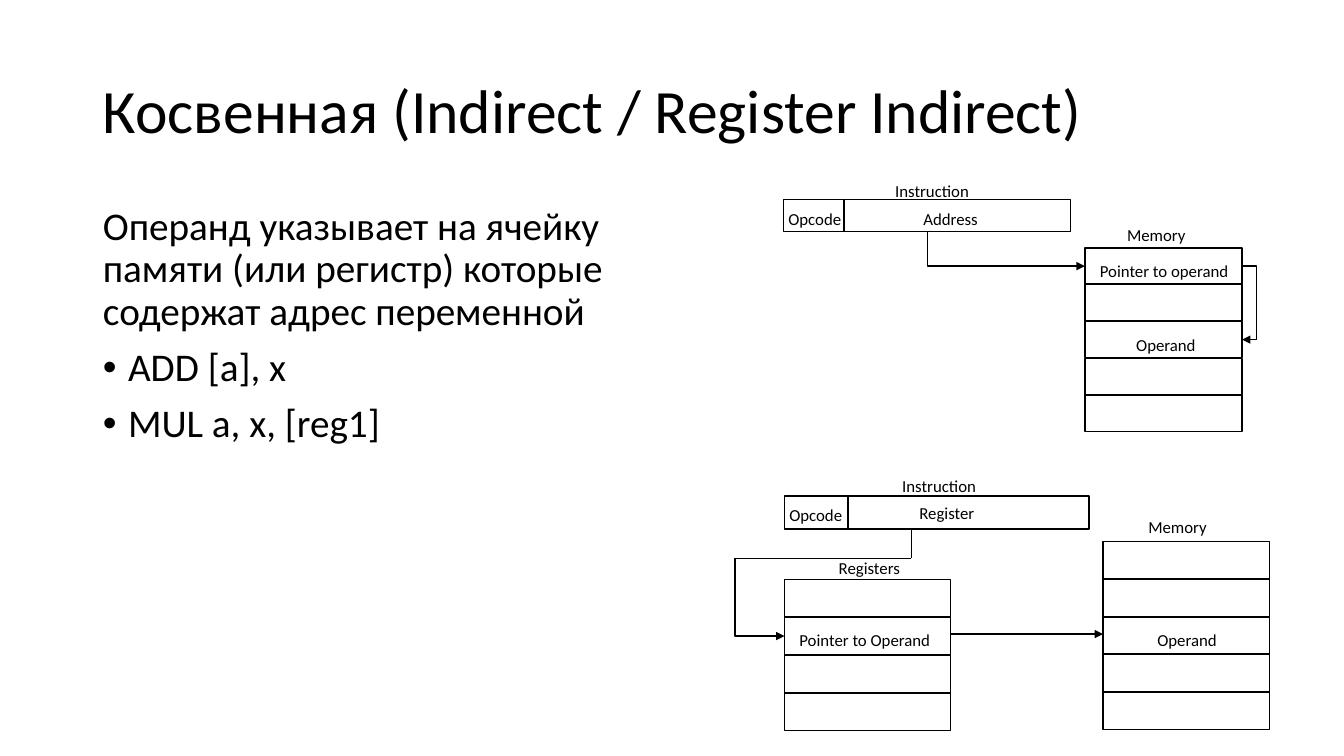
"""Builds a slide that explains indirect and register indirect addressing."""
import lxml.etree
import pptx
import pptx.dml.color
import pptx.enum.shapes
import pptx.enum.text
import pptx.oxml.ns
import pptx.util

Inches = pptx.util.Inches
RGBColor = pptx.dml.color.RGBColor

BLACK = RGBColor(0x00, 0x00, 0x00)
FONT = "Calibri"
BODY = [
    ("Операнд указывает на ячейку памяти (или регистр) которые содержат адрес переменной", False),
    ("ADD [a], x", True),
    ("MUL a, x, [reg1]", True),
]


def add_element(parent, tag, **attributes):
    """Append a drawing element to the parent."""
    return lxml.etree.SubElement(parent, pptx.oxml.ns.qn(tag), attributes)


def format_runs(para, size):
    """Set the font of every run in a paragraph."""
    for span in para.runs:
        span.font.name = FONT
        span.font.size = pptx.util.Pt(size)
        span.font.color.rgb = BLACK


def place(shape, left, top, width, height):
    """Move and resize a placeholder."""
    shape.left, shape.top = Inches(left), Inches(top)
    shape.width, shape.height = Inches(width), Inches(height)


def fill_title(title, text):
    """Write the slide title."""
    place(title, 0.92, 0.4, 11.5, 1.45)
    frame = title.text_frame
    frame.text = text
    frame.auto_size = pptx.enum.text.MSO_AUTO_SIZE.NONE
    frame.vertical_anchor = pptx.enum.text.MSO_ANCHOR.MIDDLE
    para = frame.paragraphs[0]
    para.alignment = pptx.enum.text.PP_ALIGN.LEFT
    para.line_spacing = 0.9
    format_runs(para, 44)


def fill_body(body):
    """Write the explanation and its bulleted examples."""
    place(body, 0.92, 2, 5.57, 4.76)
    frame = body.text_frame
    frame.text = "\n".join(text for text, bulleted in BODY)
    frame.auto_size = pptx.enum.text.MSO_AUTO_SIZE.NONE
    for index, (para, (text, bulleted)) in enumerate(zip(frame.paragraphs, BODY)):
        para.line_spacing = 0.9
        para.space_before = pptx.util.Pt(10 if index else 0)
        properties = para._p.get_or_add_pPr()
        indent = Inches(0.25) if bulleted else 0
        properties.set("marL", str(indent))
        properties.set("indent", str(-indent))
        if bulleted:
            add_element(properties, "a:buFont", typeface="Arial")
            add_element(properties, "a:buChar", char="•")
        else:
            add_element(properties, "a:buNone")
        format_runs(para, 28)


def style_line(shape, width=1, arrow=False):
    """Draw the outline in black, with an arrowhead at the end if asked."""
    shape.line.color.rgb = BLACK
    shape.line.width = pptx.util.Pt(width)
    if arrow:
        add_element(shape.line._get_or_add_ln(), "a:tailEnd", type="triangle")


def add_box(group, left, top, width, height):
    """Add an unfilled rectangle."""
    box = group.shapes.add_shape(
        pptx.enum.shapes.MSO_SHAPE.RECTANGLE,
        Inches(left), Inches(top), Inches(width), Inches(height))
    box.shadow.inherit = False
    box.fill.background()
    style_line(box)


def add_cells(group, left, top, width, height, pitch, count):
    """Stack the equal cells of a memory or register file."""
    for row in range(count):
        add_box(group, left, top + row * pitch, width, height)


def add_label(group, text, left, top, width):
    """Add a one-line caption."""
    label = group.shapes.add_textbox(Inches(left), Inches(top), Inches(width), Inches(0.3))
    frame = label.text_frame
    frame.text = text
    frame.word_wrap = False
    frame.auto_size = pptx.enum.text.MSO_AUTO_SIZE.SHAPE_TO_FIT_TEXT
    format_runs(frame.paragraphs[0], 12)


def add_line(group, start, end, width=1, arrow=False):
    """Add a straight line between two points."""
    line = group.shapes.add_connector(
        pptx.enum.shapes.MSO_CONNECTOR.STRAIGHT, *map(Inches, start + end))
    style_line(line, width, arrow)
    add_element(line._element.spPr, "a:effectLst")


def add_bent_arrow(group, *points):
    """Add an open path of straight segments with an arrowhead."""
    start, *corners = [(Inches(x), Inches(y)) for x, y in points]
    builder = group.shapes.build_freeform(*start)
    builder.add_line_segments(corners, close=False)
    bent_arrow = builder.convert_to_shape()
    bent_arrow.shadow.inherit = False
    bent_arrow.fill.background()
    style_line(bent_arrow, arrow=True)


def add_instruction(group, left, top, width, height, divider):
    """Add an instruction word split into opcode and operand fields."""
    add_box(group, left, top, width, height)
    add_line(group, (divider, top), (divider, top + height))


def draw_indirect(group):
    """Draw addressing through a pointer in memory."""
    add_instruction(group, 7.77, 1.98, 2.85, 0.32, 8.37)
    add_cells(group, 10.76, 2.46, 1.56, 0.36, 0.365, 5)
    add_label(group, "Address", 9.06, 2.02, 0.75)
    add_label(group, "Opcode", 7.72, 2.02, 0.73)
    add_label(group, "Instruction", 8.78, 1.74, 0.94)
    add_label(group, "Memory", 11.08, 2.18, 0.79)
    add_label(group, "Operand", 11.17, 3.27, 0.79)
    add_label(group, "Pointer to operand", 10.81, 2.54, 1.49)
    add_bent_arrow(group, (9.2, 2.3), (9.2, 2.64), (10.76, 2.64))
    add_bent_arrow(group, (12.32, 2.64), (12.46, 2.64), (12.46, 3.37), (12.32, 3.37))


def draw_register_indirect(group):
    """Draw addressing through a pointer in a register."""
    add_instruction(group, 7.78, 4.92, 3.02, 0.33, 8.41)
    add_cells(group, 10.94, 5.37, 1.65, 0.37, 0.375, 5)
    add_cells(group, 7.78, 5.75, 1.65, 0.37, 0.375, 4)
    add_label(group, "Register", 9.02, 4.94, 0.75)
    add_label(group, "Opcode", 7.73, 4.96, 0.73)
    add_label(group, "Instruction", 8.85, 4.67, 0.94)
    add_label(group, "Memory", 11.29, 5.08, 0.79)
    add_label(group, "Operand", 11.38, 6.2, 0.79)
    add_label(group, "Pointer to Operand", 7.83, 6.2, 1.51)
    add_label(group, "Registers", 8.22, 5.48, 0.81)
    add_line(group, (9.04, 5.25), (9.04, 5.54))
    add_line(group, (9.04, 5.54), (7.29, 5.54))
    add_bent_arrow(group, (7.29, 5.54), (7.29, 6.31), (7.78, 6.31))
    add_line(group, (9.43, 6.29), (10.94, 6.29), 0.75, arrow=True)


def main():
    """Build and save the deck."""
    deck = pptx.Presentation()
    deck.slide_width, deck.slide_height = Inches(13.33), Inches(7.5)
    page = deck.slides.add_slide(deck.slide_layouts[1])
    fill_title(page.shapes.title, "Косвенная (Indirect / Register Indirect)")
    fill_body(page.placeholders[1])
    draw_indirect(page.shapes.add_group_shape())
    draw_register_indirect(page.shapes.add_group_shape())
    deck.save("out.pptx")


if __name__ == "__main__":
    main()
